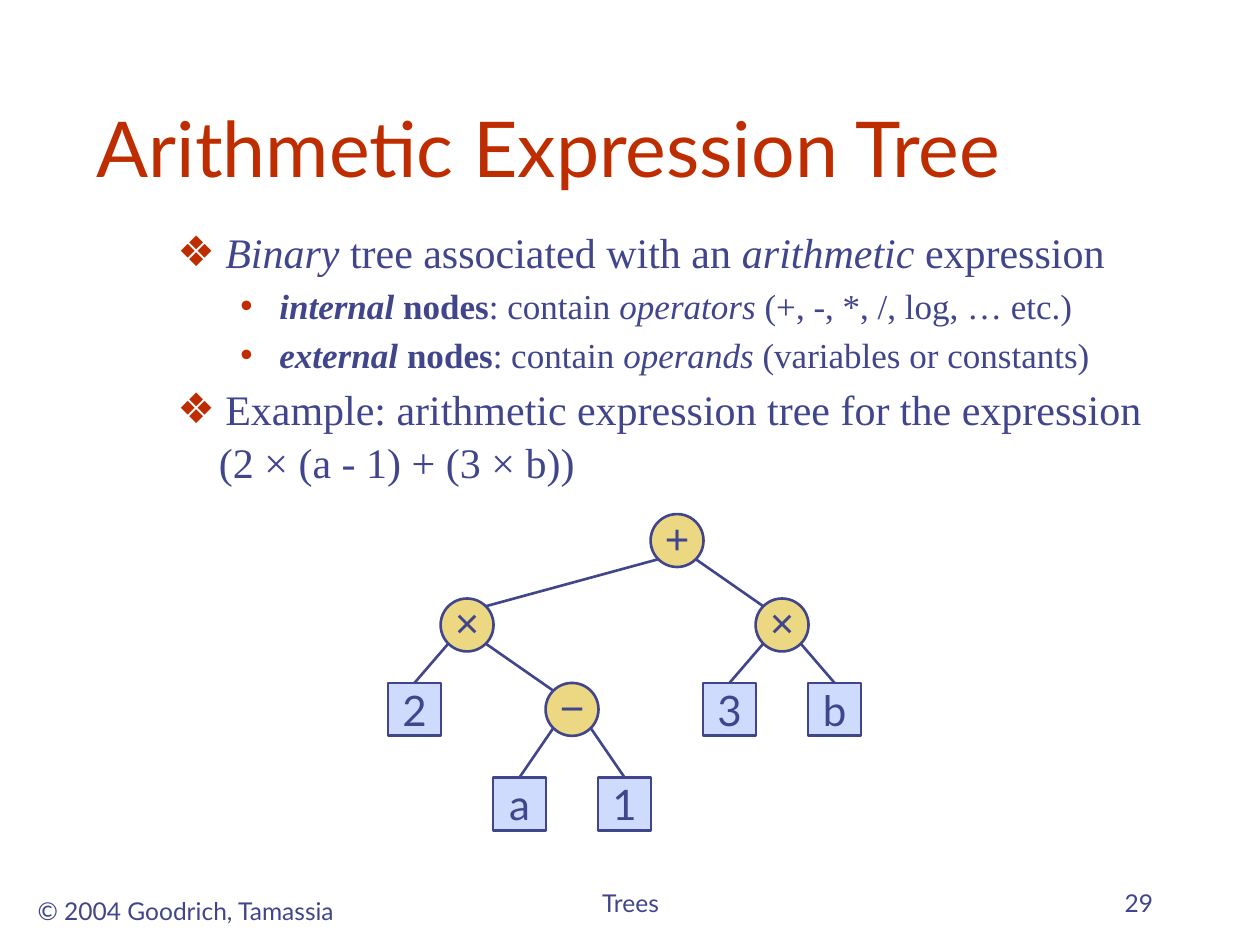
from dataclasses import dataclass
from math import sqrt
from typing import Optional

from lxml.etree import SubElement
from pptx import Presentation
from pptx.dml.color import RGBColor
from pptx.enum.shapes import MSO_CONNECTOR, MSO_SHAPE
from pptx.enum.text import MSO_ANCHOR as Anchor, PP_ALIGN as Align
from pptx.oxml.ns import qn
from pptx.util import Inches, Pt

COLORS = {"ink": "40458C", "accent": "BE2D00", "operator": "ECD882", "operand": "CFDBFD"}
SANS, SERIF, SYMBOL = "Lato", "Times New Roman", "Arial"

# Tree grid, in inches
SIZE = 0.42
LEFT, COL = 3.08, 5 / 12
ROWS = (4.08, 4.75, 5.42, 6.17)


@dataclass
class Node:
    label: str
    col: int
    row: int
    parent: Optional[int] = None
    operator: bool = False

    @property
    def x(self) -> float:
        return LEFT + self.col * COL

    @property
    def y(self) -> float:
        return ROWS[self.row]


@dataclass
class Item:
    runs: list[tuple[str, str]]  # text and style: "b", "i", "bi" or ""
    size: int = 24
    bullet: str = ""
    margin: float = 0.38
    hang: float = 0.38
    spacing: Optional[float] = None


NODES = [
    Node("+", 5, 0, operator=True),
    Node("×", 1, 1, 0, True),
    Node("×", 7, 1, 0, True),
    Node("−", 3, 2, 1, True),
    Node("2", 0, 2, 1),
    Node("a", 2, 3, 3),
    Node("1", 4, 3, 3),
    Node("3", 6, 2, 2),
    Node("b", 8, 2, 2),
]

SUB = dict(size=20, bullet="•", margin=0.81, hang=0.31)
ITEMS = [
    Item([("Binary", "i"), (" tree associated with an ", ""),
          ("arithmetic", "i"), (" expression", "")], bullet="❖"),
    Item([("internal", "bi"), (" nodes", "b"), (": contain ", ""),
          ("operators ", "i"), ("(+, -, *, /, log, … etc.)", "")], **SUB),
    Item([("external", "bi"), (" nodes", "b"), (": contain ", ""),
          ("operands", "i"), (" (variables or constants)", "")], **SUB),
    Item([("Example: arithmetic expression tree for the expression", "")], bullet="❖"),
    Item([("(2 × (a - 1) + (3 × b))", "")], margin=0.33, hang=0, spacing=0.9),
]


def rgb(name: str) -> RGBColor:
    return RGBColor.from_string(COLORS[name])


def style(font, size: int, face: str, color: str = "ink") -> None:
    font.size, font.name = Pt(size), face
    font.color.rgb = rgb(color)


def add_label(slide, box, text: str, size: int, color: str = "ink",
              align=Align.LEFT, anchor=Anchor.BOTTOM, wrap: bool = True) -> None:
    tf = slide.shapes.add_textbox(*map(Inches, box)).text_frame
    tf.text, tf.word_wrap, tf.vertical_anchor = text, wrap, anchor
    p = tf.paragraphs[0]
    p.alignment = align
    style(p.runs[0].font, size, SANS, color)


def add_item(p, item: Item) -> None:
    p.space_before = Pt(item.size * 0.2)
    if item.spacing:
        p.line_spacing = item.spacing
    pPr = p._p.get_or_add_pPr()
    pPr.set("marL", str(Inches(item.margin)))
    pPr.set("indent", str(-Inches(item.hang)))
    if item.bullet:
        clr = SubElement(pPr, qn("a:buClr"))
        SubElement(clr, qn("a:srgbClr"), val=COLORS["accent"])
        SubElement(pPr, qn("a:buFont"), typeface=SYMBOL)
        SubElement(pPr, qn("a:buChar"), char=item.bullet)
    for text, flags in item.runs:
        r = p.add_run()
        r.text = text
        style(r.font, item.size, SERIF)
        r.font.bold, r.font.italic = "b" in flags, "i" in flags


def add_node(slide, node: Node) -> None:
    kind = MSO_SHAPE.OVAL if node.operator else MSO_SHAPE.RECTANGLE
    sp = slide.shapes.add_shape(kind, *map(Inches, (node.x, node.y, SIZE, SIZE)))
    sp.shadow.inherit = False
    sp.fill.solid()
    sp.fill.fore_color.rgb = rgb("operator" if node.operator else "operand")
    sp.line.color.rgb, sp.line.width = rgb("ink"), Pt(1.5)
    tf = sp.text_frame
    tf.text, tf.word_wrap, tf.vertical_anchor = node.label, False, Anchor.MIDDLE
    if node.operator:
        tf.margin_left = tf.margin_right = tf.margin_top = 0
        tf.margin_bottom = Inches(0.05)
    p = tf.paragraphs[0]
    p.alignment = Align.CENTER
    style(p.runs[0].font, 24, SYMBOL if node.operator else SANS)


def add_edge(slide, parent: Node, child: Node) -> None:
    half = SIZE / 2
    diagonal = half / sqrt(2)
    side = 1 if child.col > parent.col else -1
    start = (parent.x + half + side * diagonal, parent.y + half + diagonal)
    if child.operator:
        end = (child.x + half - side * diagonal, child.y + half - diagonal)
    else:
        end = (child.x + half, child.y)
    line = slide.shapes.add_connector(MSO_CONNECTOR.STRAIGHT, *map(Inches, start + end))
    line.line.color.rgb, line.line.width = rgb("ink"), Pt(1.5)
    SubElement(line._element.spPr, qn("a:effectLst"))


def main() -> None:
    prs = Presentation()
    prs.slide_width, prs.slide_height = Inches(10), Inches(7.5)
    slide = prs.slides.add_slide(prs.slide_layouts[6])

    # Footer
    add_label(slide, (0.17, 7.06, 2.61, 0.33), "© 2004 Goodrich, Tamassia", 14,
              align=Align.CENTER, anchor=Anchor.TOP, wrap=False)
    add_label(slide, (3.42, 6.83, 3.17, 0.5), "Trees", 14, align=Align.CENTER)
    add_label(slide, (7.17, 6.83, 2.08, 0.5), "29", 14, align=Align.RIGHT)

    # Title
    add_label(slide, (0.67, 0.33, 8.5, 1.25), "Arithmetic Expression Tree", 44, "accent")

    # Body
    tf = slide.shapes.add_textbox(*map(Inches, (1.31, 1.75, 8.03, 2.31))).text_frame
    tf.word_wrap = True
    for i, item in enumerate(ITEMS):
        add_item(tf.add_paragraph() if i else tf.paragraphs[0], item)

    # Expression tree
    for node in NODES:
        add_node(slide, node)
    for node in NODES:
        if node.parent is not None:
            add_edge(slide, NODES[node.parent], node)

    prs.save("out.pptx")


if __name__ == "__main__":
    main()
